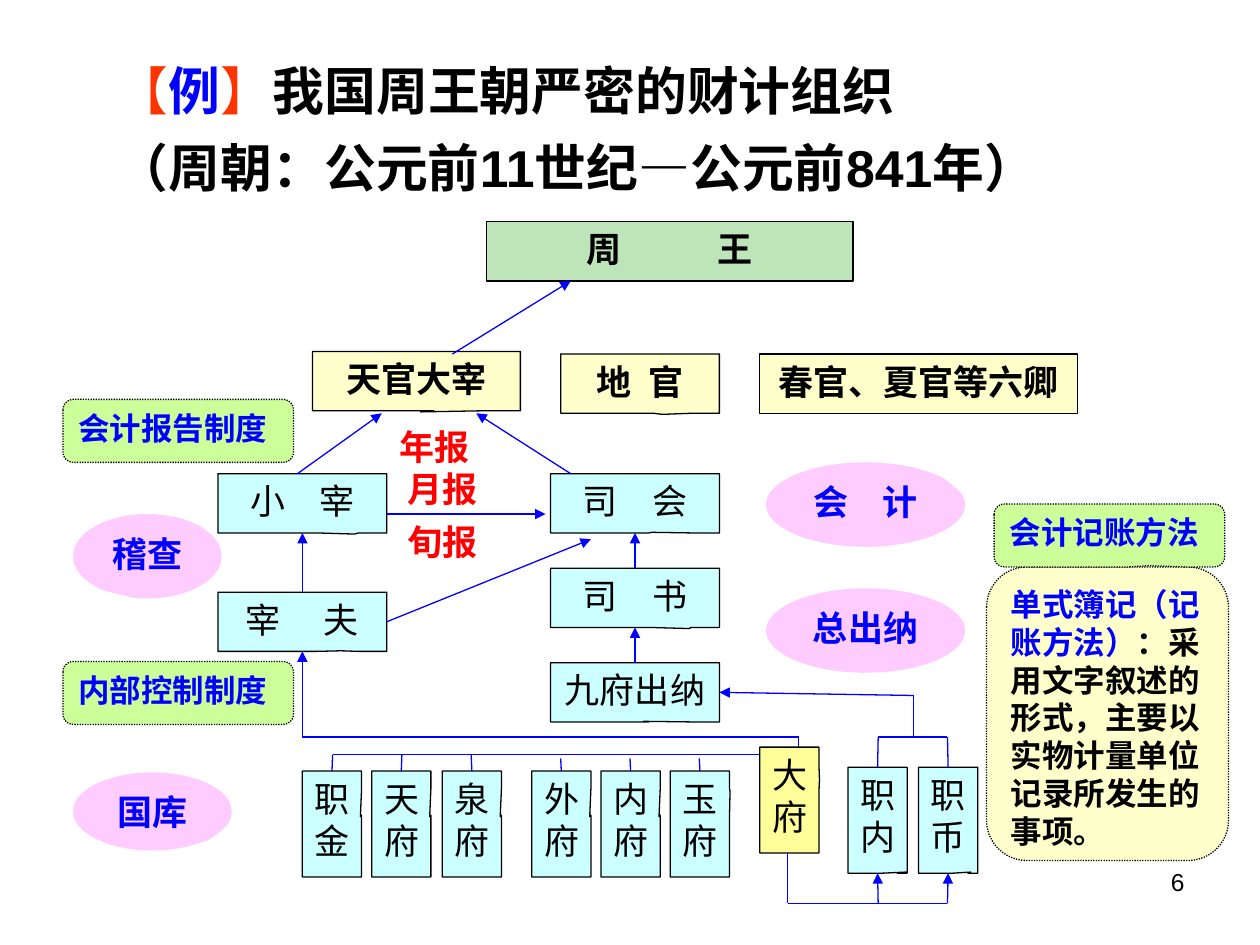
from lxml.etree import SubElement
from pptx import Presentation
from pptx.dml.color import RGBColor
from pptx.enum.dml import MSO_LINE
from pptx.enum.shapes import MSO_CONNECTOR, MSO_SHAPE as SHAPE
from pptx.enum.text import MSO_ANCHOR, PP_ALIGN as ALIGN
from pptx.oxml.ns import qn
from pptx.util import Inches, Pt

BLACK, BLUE, RED, ORANGE = "000000", "0000FF", "FF0000", "FF3300"
CYAN, CREAM, YELLOW = "CCFFFF", "FFFFCC", "FFFF99"
LIME, PINK, GREEN = "CCFF99", "FFCCFF", "BDE5B9"
TOP, LEFT, BOTTOM, RIGHT = range(4)
ROW_H = 0.47                    # height of a one-line box, width of a tall one
TALL_H = 0.84

# Text as (words, colour, bold) runs
TITLE = [
    [("【", ORANGE, False), ("例", BLUE, True), ("】", ORANGE, False),
     ("我国周王朝严密的财计组织", BLACK, True)],
    [("（周朝：公元前11世纪—公元前841年）", BLACK, True)],
]
METHOD = [("单式簿记（记账方法）", BLUE, True),
          ("：采用文字叙述的形式，主要以实物计量单位记录所发生的事项。", BLACK, True)]

# Side labels: text, left, top, pointer tip
TAGS = [
    ("会计报告制度", 0.5, 3.17, (-0.05, 0.5)),
    ("内部控制制度", 0.5, 5.25, (0.17, 0.5)),
    ("会计记账方法", 7.89, 4, (0.17, 0.48)),
]
# Ovals: text, left, top, width, height, pointer tip
OVALS = [
    ("稽查", 0.58, 4.08, 1.18, 0.67, (-0.19, 0.45)),
    ("会 计", 6.08, 3.67, 1.58, 0.67, (0.44, -0.22)),
    ("总出纳", 6.08, 4.67, 1.58, 0.67, (-0.02, 0.5)),
    ("国库", 0.58, 6.13, 1.26, 0.62, (0.35, 0.37)),
]
# Offices: text, left, top, width, fill, bold, pointer tip
OFFICES = [
    ("周 王", 3.86, 1.76, 2.91, GREEN, True, (-0.5, -0.04)),
    ("天官大宰", 2.48, 2.79, 1.65, CREAM, True, (0.02, 0.52)),
    ("地 官", 4.45, 2.81, 1.26, CREAM, True, (0.14, 0.52)),
    ("春官、夏官等六卿", 6.03, 2.81, 2.52, CREAM, True, (-0.5, -0.1)),
    ("小 宰", 1.73, 3.76, 1.34, CYAN, False, (0.31, 0.52)),
    ("司 会", 4.37, 3.76, 1.34, CYAN, False, (0.1, 0.49)),
    ("宰 夫", 1.73, 4.7, 1.34, CYAN, False, (0.23, 0.49)),
    ("司 书", 4.37, 4.51, 1.34, CYAN, False, (0.32, 0.52)),
    ("九府出纳", 4.37, 5.26, 1.34, CYAN, False, (0.05, 0.49)),
]
# Treasuries: text, left, top, fill, pointer tip
TREASURIES = [
    ("职金", 2.4, 6.12, CYAN, (0.48, -0.07)),
    ("天府", 2.95, 6.12, CYAN, (0.48, -0.07)),
    ("泉府", 3.51, 6.12, CYAN, (0.48, -0.07)),
    ("外府", 4.22, 6.12, CYAN, (0.48, -0.07)),
    ("内府", 4.77, 6.12, CYAN, (0.48, -0.07)),
    ("玉府", 5.32, 6.12, CYAN, (0.51, -0.31)),
    ("大府", 6.03, 5.93, YELLOW, (0.51, -0.19)),
    ("职内", 6.73, 6.09, CYAN, (0.48, 0.49)),
    ("职币", 7.29, 6.09, CYAN, (0.38, 0.49)),
]
REPORTS = [("年报", 2.78, 3.33), ("月报", 2.84, 3.66), ("旬报", 2.84, 4.08)]
# Extra points of spacing at the gap inside a spread-out name
GAPS = {"周 王": 50, "地 官": 5, "宰 夫": 20}
NORMAL_GAP = 15

# Lines run between points (x, y) or box sides (name, side)
ARROWS = [
    ((2.36, 3.76), (3.03, 3.28)),
    ((4.53, 3.76), (3.78, 3.28)),
    ((3.07, 4.08), (4.33, 4.08)),
    (("宰 夫", RIGHT), (4.69, 4.28)),
    ((3.59, 2.81), (4.53, 2.23)),
    (("九府出纳", TOP), ("司 书", BOTTOM)),
    (("司 书", TOP), ("司 会", BOTTOM)),
    (("宰 夫", TOP), ("小 宰", BOTTOM)),
    ((2.4, 5.85), ("宰 夫", BOTTOM)),
    ((7.25, 5.52), ("九府出纳", RIGHT)),
    ((6.97, 7.17), ("职内", BOTTOM)),
    ((7.52, 7.17), ("职币", BOTTOM)),
]
LINES = [
    ((2.64, 5.99), (6.03, 5.99)),
    ((2.4, 5.85), (6.34, 5.85)),
    ((6.34, 5.85), (6.34, 5.93)),
    ((6.97, 5.85), (7.52, 5.85)),
    ((7.25, 5.52), (7.25, 5.85)),
    ((6.25, 6.77), (6.25, 7.17)),
    ((6.25, 7.17), (7.52, 7.17)),
]
# Drops from a bus line: name, x, y
DROPS = [("职金", 2.64, 5.99), ("天府", 3.19, 5.99), ("泉府", 3.74, 5.99),
         ("外府", 4.45, 6.02), ("内府", 5, 6.02), ("玉府", 5.55, 6.02),
         ("职内", 6.97, 5.85), ("职币", 7.52, 5.85)]
LINES += [((x, y), (name, TOP)) for name, x, y in DROPS]

prs = Presentation()
prs.slide_width, prs.slide_height = Inches(10), Inches(7.5)
s = prs.slides.add_slide(prs.slide_layouts[6])
boxes = {}


def rgb(color):
    return RGBColor.from_string(color)


def add_run(p, text, size, font, color, bold):
    r = p.add_run()
    r.text = text
    r.font.size, r.font.name, r.font.bold = Pt(size), font, bold
    r.font.color.rgb = rgb(color)
    return r


def add_text(x, y, w, h):
    tf = s.shapes.add_textbox(Inches(x), Inches(y), Inches(w), Inches(h)).text_frame
    tf.word_wrap = True
    return tf


def add_callout(kind, x, y, w, h, tip, runs, size=20, fill=None, line=True,
                dotted=False, align=ALIGN.CENTER):
    sp = s.shapes.add_shape(kind, Inches(x), Inches(y), Inches(w), Inches(h))
    sp.shadow.inherit = False
    sp.adjustments[0], sp.adjustments[1] = tip
    if fill:
        sp.fill.solid()
        sp.fill.fore_color.rgb = rgb(fill)
    else:
        sp.fill.background()
    if line:
        sp.line.color.rgb = rgb(BLACK)
        sp.line.width = Pt(0.75)
        if dotted:
            sp.line.dash_style = MSO_LINE.ROUND_DOT
    else:
        sp.line.fill.background()
    tf = sp.text_frame
    tf.word_wrap = True
    tf.vertical_anchor = MSO_ANCHOR.TOP
    p = tf.paragraphs[0]
    p.alignment = align
    for text, color, bold in runs:
        first, gap, rest = text.partition(" ")
        for part in filter(None, (first, gap, rest)):
            r = add_run(p, part, size, "Times New Roman", color, bold)
            if part == " ":
                extra = GAPS.get(text, NORMAL_GAP)
                r._r.get_or_add_rPr().set("spc", str(extra * 100))
    return sp


def add_line(start, end, color=BLUE, arrow=False):
    points = [(0, 0) if isinstance(pt[0], str) else pt for pt in (start, end)]
    c = s.shapes.add_connector(MSO_CONNECTOR.STRAIGHT,
                               *(Inches(v) for pt in points for v in pt))
    for pt, join in ((start, c.begin_connect), (end, c.end_connect)):
        if isinstance(pt[0], str):
            join(boxes[pt[0]], pt[1])
    c.line.color.rgb = rgb(color)
    c.line.width = Pt(0.75)
    if arrow:
        SubElement(c.line._get_or_add_ln(), qn("a:tailEnd"), type="triangle")
    SubElement(c._element.spPr, qn("a:effectLst"))


# Title
tf = add_text(0.83, 0.42, 8.5, 1.42)
for i, runs in enumerate(TITLE):
    p = tf.add_paragraph() if i else tf.paragraphs[0]
    if i:
        p.space_before = Pt(8)
    pPr = p._p.get_or_add_pPr()
    pPr.set("marL", str(Inches(0.38)))
    pPr.set("indent", str(-Inches(0.38)))
    for text, color, bold in runs:
        add_run(p, text, 29.6, "Arial", color, bold)

# Side notes
add_callout(SHAPE.ROUNDED_RECTANGULAR_CALLOUT, 7.83, 4.5, 1.92, 2.33, (0.5, -0.1),
            METHOD, 18, CREAM, dotted=True, align=ALIGN.LEFT)
for text, x, y, w, h, tip in OVALS:
    add_callout(SHAPE.OVAL_CALLOUT, x, y, w, h, tip, [(text, BLUE, True)],
                fill=PINK, line=False)
for text, x, y, tip in TAGS:
    add_callout(SHAPE.ROUNDED_RECTANGULAR_CALLOUT, x, y, 1.83, 0.5, tip,
                [(text, BLUE, True)], 18, LIME, dotted=True, align=ALIGN.LEFT)

# Organisation boxes
for text, x, y, w, fill, bold, tip in OFFICES:
    boxes[text] = add_callout(SHAPE.RECTANGULAR_CALLOUT, x, y, w, ROW_H, tip,
                              [(text, BLACK, bold)], fill=fill)
for text, x, y, fill, tip in TREASURIES:
    boxes[text] = add_callout(SHAPE.RECTANGULAR_CALLOUT, x, y, ROW_H, TALL_H, tip,
                              [(text, BLACK, False)], fill=fill)
for text, x, y in REPORTS:
    add_callout(SHAPE.RECTANGULAR_CALLOUT, x, y, 1.34, ROW_H, (-0.15, 0.25),
                [(text, RED, True)], line=False)

# Reporting lines
add_line((2.48, 5.85), (6.26, 5.85), BLACK)
for start, end in LINES:
    add_line(start, end)
for start, end in ARROWS:
    add_line(start, end, arrow=True)

# Page number
p = add_text(7.17, 6.83, 2.33, 0.52).paragraphs[0]
p.alignment = ALIGN.RIGHT
add_run(p, "6", 14, "Arial", BLACK, False)

prs.save("out.pptx")
